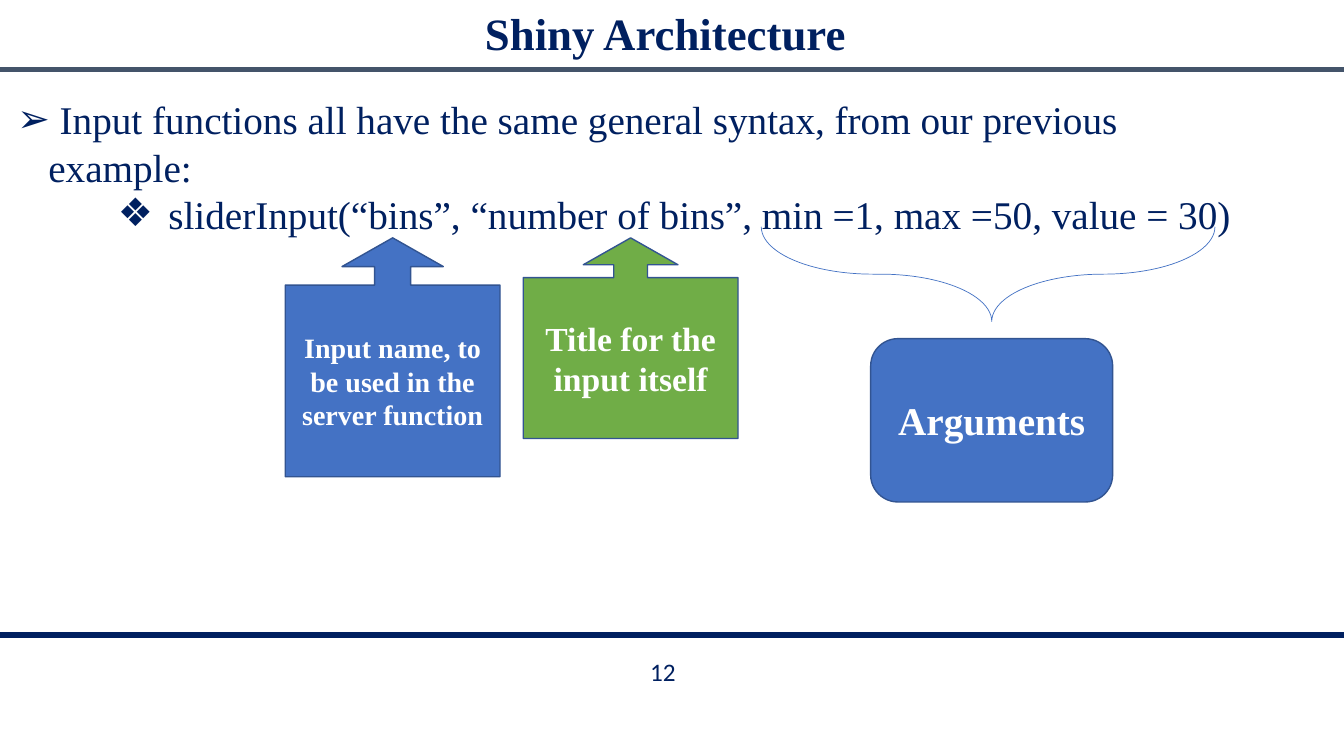
import pptx
import pptx.util
import pptx.dml.color
import pptx.enum.shapes
import pptx.enum.text
import pptx.oxml.ns
import lxml.etree

In, Pt = pptx.util.Inches, pptx.util.Pt
MSO = pptx.enum.shapes.MSO_SHAPE
ALIGN = pptx.enum.text.PP_ALIGN
MIDDLE = pptx.enum.text.MSO_ANCHOR.MIDDLE
NO_FIT = pptx.enum.text.MSO_AUTO_SIZE.NONE

THEME = dict(
    font="Times New Roman", number_font="Calibri",
    navy="002060", slate="44546A", blue="4472C4", green="70AD47",
    edge="325491", white="FFFFFF",
    title=32, body=28, label=24, small=20, number=18,
)
W, H = 13.33, 7.5

# Content
TITLE = "Shiny Architecture"
PAGE = "12"
# text, level, left margin, hanging indent, bullet
BULLETS = [
    (" Input functions all have the same general syntax, from our previous example: ",
     0, 0.31, 0.31, "➢"),
    ("sliderInput(“bins”, “number of bins”, min =1, max =50, value = 30)",
     1, 1.5, 0.5, "❖"),
]
# text, fill, type size, height
CALLOUTS = [
    ("Input name, to be used in the server function", "blue", "small", 2.37),
    ("Title for the input itself", "green", "label", 1.99),
]
ARGUMENTS = "Arguments"
# y, colour, weight
RULES = [(0.69, "slate", 4), (6.3, "navy", 3.75)]

# Layout
CALLOUT_X, CALLOUT_Y, CALLOUT_W, CALLOUT_STEP = 2.83, 2.36, 2.13, 2.36
CALLOUT_ADJ = (0.168, 0.236, 0.134, 0.802)
BRACE_X, BRACE_Y, BRACE_SPAN, BRACE_DEPTH = 7.55, 2.25, 4.5, 0.94
ARGS_W, ARGS_H, ARGS_Y = 2.4, 1.62, 3.36


def rgb(name):
    return pptx.dml.color.RGBColor.from_string(THEME[name])


def place(sp, x, y, w, h):
    sp.left, sp.top, sp.width, sp.height = In(x), In(y), In(w), In(h)


def style(p, size, color, bold=False, font="font", align=ALIGN.CENTER):
    p.alignment = align
    for r in p.runs:
        r.font.name = THEME[font]
        r.font.size = Pt(THEME[size])
        r.font.bold = bold
        r.font.color.rgb = rgb(color)


def add_bullet(p, char, margin, hang):
    pPr = p._p.get_or_add_pPr()
    pPr.set("marL", str(In(margin)))
    pPr.set("indent", str(-In(hang)))
    lxml.etree.SubElement(pPr, pptx.oxml.ns.qn("a:buChar")).set("char", char)


def add_outline(kind, x, y, w, h, line, weight, adj=()):
    sp = s.shapes.add_shape(kind, In(x), In(y), In(w), In(h))
    sp.shadow.inherit = False
    sp.line.color.rgb = rgb(line)
    sp.line.width = Pt(weight)
    for i, value in enumerate(adj):
        sp.adjustments[i] = value
    return sp


def add_box(kind, text, x, y, w, h, fill, size, adj=()):
    sp = add_outline(kind, x, y, w, h, "edge", 1, adj)
    sp.fill.solid()
    sp.fill.fore_color.rgb = rgb(fill)
    tf = sp.text_frame
    tf.text, tf.word_wrap, tf.vertical_anchor = text, True, MIDDLE
    style(tf.paragraphs[0], size, "white", bold=True)


prs = pptx.Presentation()
prs.slide_width, prs.slide_height = In(W), In(H)
s = prs.slides.add_slide(prs.slide_layouts[1])

# Rules under the header and above the footer
for y, color, weight in RULES:
    rule = s.shapes.add_connector(
        pptx.enum.shapes.MSO_CONNECTOR.STRAIGHT, 0, In(y), In(W), In(y))
    rule.line.color.rgb = rgb(color)
    rule.line.width = Pt(weight)
    lxml.etree.SubElement(rule._element.spPr, pptx.oxml.ns.qn("a:effectLst"))

# Page number
number = s.shapes.add_textbox(In(5.22), In(6.46), In(2.71), In(0.4))
number.text_frame.text = PAGE
number.text_frame.word_wrap = True
style(number.text_frame.paragraphs[0], "number", "navy", font="number_font")

# Title
title = s.shapes.title
place(title, 1.87, 0.06, 9.46, 0.59)
tf = title.text_frame
tf.text, tf.vertical_anchor, tf.auto_size = TITLE, MIDDLE, NO_FIT
tf.paragraphs[0].line_spacing = 0.9
style(tf.paragraphs[0], "title", "navy", bold=True)

# Bulleted text
body = s.placeholders[1]
place(body, 0.07, 0.9, 12.27, 3.45)
tf = body.text_frame
tf.text = "\n".join(b[0] for b in BULLETS)
tf.auto_size = NO_FIT
for p, (text, level, margin, hang, char) in zip(tf.paragraphs, BULLETS):
    p.level = level
    p.space_before = Pt(0)
    style(p, "body", "navy", align=ALIGN.LEFT)
    add_bullet(p, char, margin, hang)

# Callouts pointing at the first two arguments
for i, (text, fill, size, h) in enumerate(CALLOUTS):
    add_box(MSO.UP_ARROW_CALLOUT, text, CALLOUT_X + i * CALLOUT_STEP, CALLOUT_Y,
            CALLOUT_W, h, fill, size, CALLOUT_ADJ)

# Brace turned to open upwards, centred on its span
mid_x, mid_y = BRACE_X + BRACE_SPAN / 2, BRACE_Y + BRACE_DEPTH / 2
brace = add_outline(MSO.RIGHT_BRACE, mid_x - BRACE_DEPTH / 2, mid_y - BRACE_SPAN / 2,
                    BRACE_DEPTH, BRACE_SPAN, "blue", 0.5, (1.176, 0.492))
brace.fill.background()
brace.rotation = 90

# Arguments box below the brace's tip
tip_x = BRACE_X + BRACE_SPAN * (1 - 0.492)
add_box(MSO.ROUNDED_RECTANGLE, ARGUMENTS, tip_x - ARGS_W / 2, ARGS_Y,
        ARGS_W, ARGS_H, "blue", "body")

prs.save("out.pptx")
